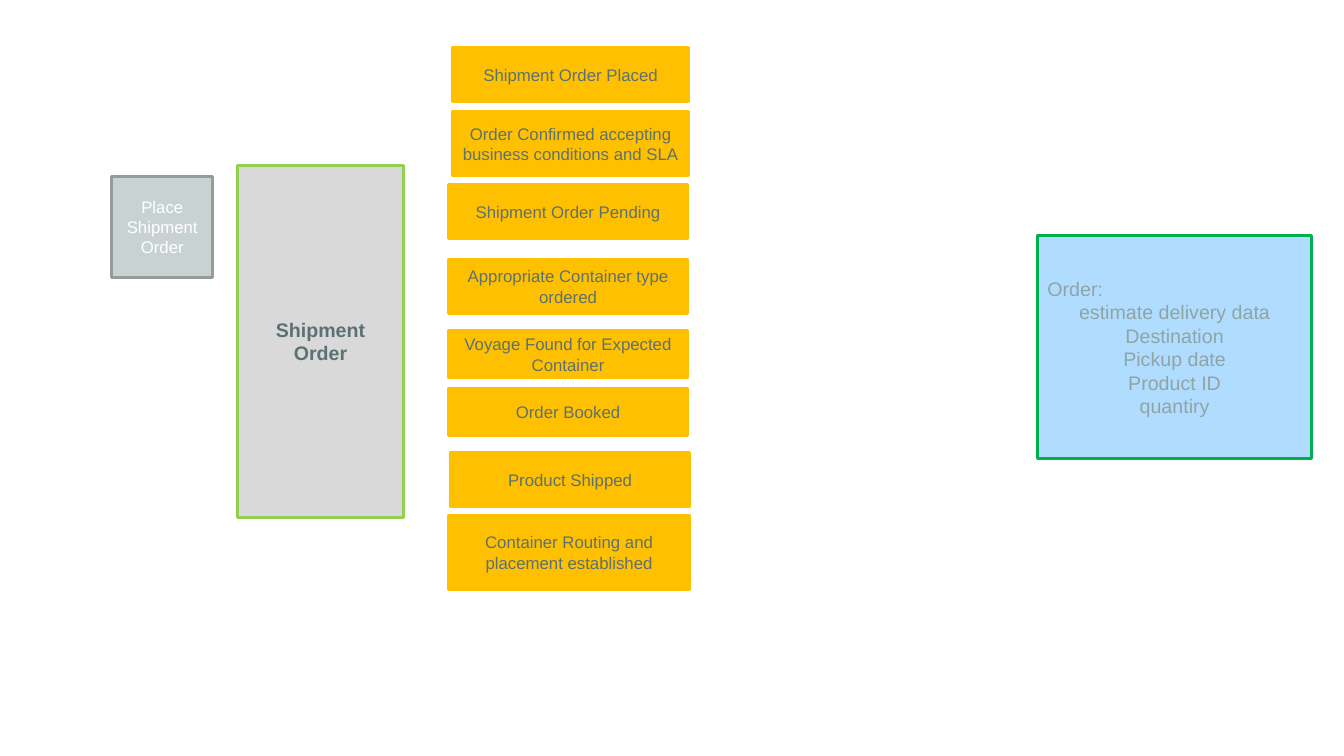
from dataclasses import dataclass

import pptx
import pptx.dml.color
import pptx.enum.dml
import pptx.enum.shapes
import pptx.enum.text
import pptx.util

PX = 9144  # EMU per px, 100 px to the inch
COLORS = {
    "white": "FFFFFF", "grey": "D9D9D9", "lime": "92D050",
    "mist": "C8D2D2", "steel": "949B9B", "amber": "FFC000",
    "sky": "B0DDFF", "green": "00B050", "slate": "5C7171", "haze": "90A4A4",
}
ALIGN = pptx.enum.text.PP_ALIGN


@dataclass(frozen=True)
class Box:
    left: int
    top: int
    width: int
    height: int
    lines: tuple[str, ...]
    fill: str = "amber"
    border: str = "amber"
    color: str = "slate"
    size: int = 12
    bold: bool = False
    striped: bool = False
    heading: bool = False  # first line is left-aligned


EVENTS = [
    Box(449, 47, 234, 54, ("Shipment Order Placed",)),
    Box(449, 111, 234, 63,
        ("Order Confirmed accepting business conditions and SLA",)),
    Box(445, 183, 237, 54, ("Shipment Order Pending",)),
    Box(445, 257, 237, 54, ("Appropriate Container type ordered",)),
    Box(445, 328, 237, 47, ("Voyage Found for Expected Container",)),
    Box(445, 385, 237, 47, ("Order Booked",)),
    Box(447, 449, 237, 54, ("Product Shipped",)),
    Box(445, 511, 239, 74, ("Container Routing and placement established",)),
]
AGGREGATE = Box(236, 164, 164, 349, ("Shipment Order",), "grey", "lime",
                size=14, bold=True, striped=True)
COMMAND = Box(111, 175, 100, 100, ("Place Shipment Order",),
              "mist", "steel", "white")
READ_MODEL = Box(1029, 234, 272, 221,
                 ("Order:", "estimate delivery data", "Destination",
                  "Pickup date", "Product ID", "quantiry"),
                 "sky", "green", "haze", size=14, heading=True)


def rgb(name: str) -> pptx.dml.color.RGBColor:
    return pptx.dml.color.RGBColor.from_string(COLORS[name])


def paint(sp: pptx.shapes.autoshape.Shape, box: Box) -> None:
    """Set the fill and border of a box."""
    if box.striped:
        sp.fill.patterned()
        sp.fill.pattern = pptx.enum.dml.MSO_PATTERN.DARK_VERTICAL
        sp.fill.fore_color.rgb = rgb(box.fill)
        sp.fill.back_color.rgb = rgb("white")
    else:
        sp.fill.solid()
        sp.fill.fore_color.rgb = rgb(box.fill)
    sp.line.color.rgb = rgb(box.border)
    sp.line.width = pptx.util.Pt(2)
    sp.shadow.inherit = False


def add_box(s: pptx.slide.Slide, box: Box) -> None:
    sp = s.shapes.add_shape(
        pptx.enum.shapes.MSO_SHAPE.RECTANGLE,
        *(n * PX for n in (box.left, box.top, box.width, box.height)))
    paint(sp, box)
    tf = sp.text_frame
    tf.word_wrap = True
    tf.vertical_anchor = pptx.enum.text.MSO_ANCHOR.MIDDLE
    font = {"name": "Arial", "size": pptx.util.Pt(box.size), "bold": box.bold}
    for i, line in enumerate(box.lines):
        p = tf.add_paragraph() if i else tf.paragraphs[0]
        p.alignment = ALIGN.LEFT if box.heading and i == 0 else ALIGN.CENTER
        r = p.add_run()
        r.text = line
        for key, value in font.items():
            setattr(r.font, key, value)
        r.font.color.rgb = rgb(box.color)


def main() -> None:
    prs = pptx.Presentation()
    prs.slide_width, prs.slide_height = 1333 * PX, 750 * PX
    s = prs.slides.add_slide(prs.slide_layouts.get_by_name("Blank"))
    for box in (AGGREGATE, COMMAND, *EVENTS, READ_MODEL):
        add_box(s, box)
    prs.save("out.pptx")


if __name__ == "__main__":
    main()
